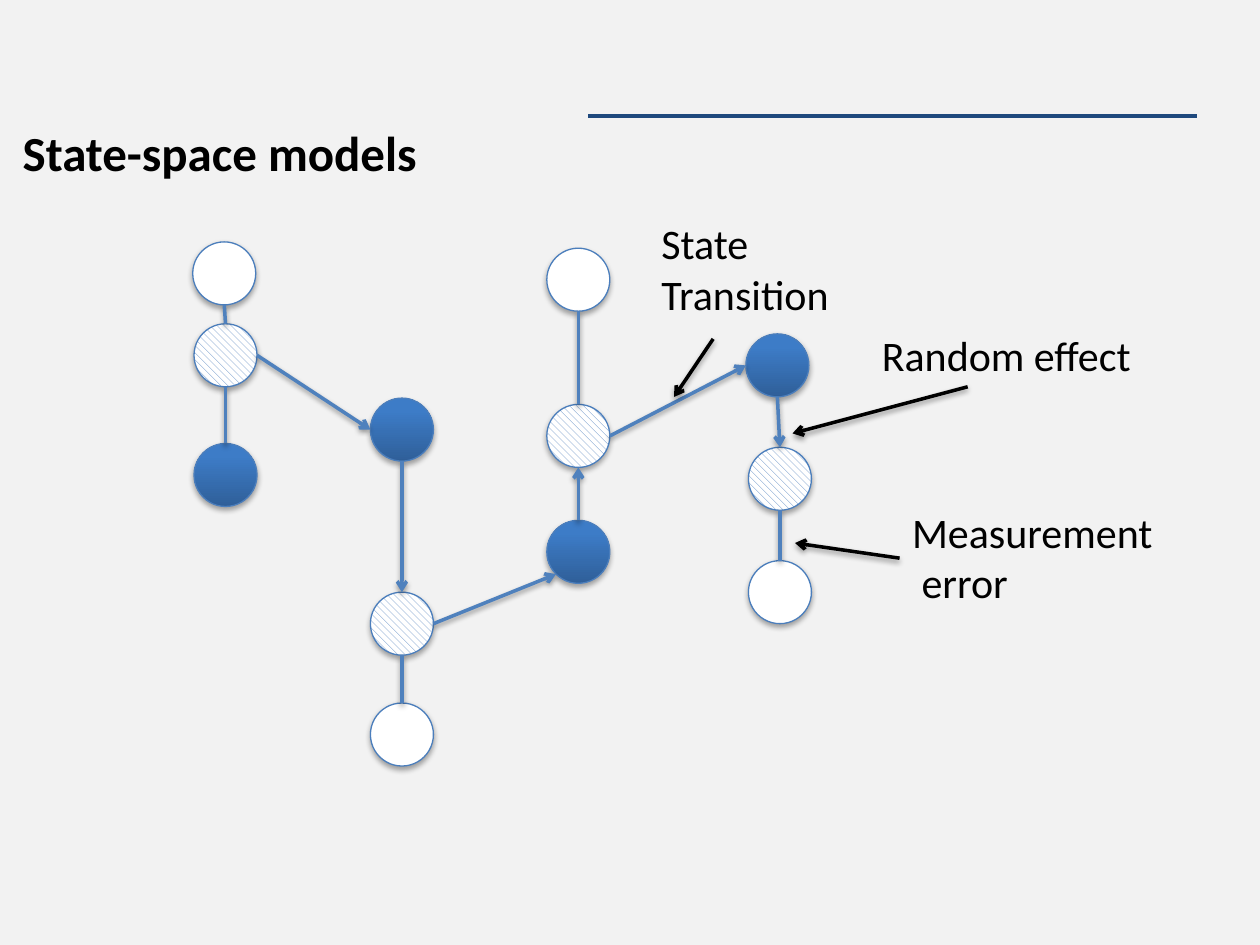
from dataclasses import dataclass
from math import cos, radians, sin
from typing import NamedTuple

from lxml.etree import SubElement
from pptx import Presentation
from pptx.dml.color import RGBColor
from pptx.enum.dml import MSO_PATTERN
from pptx.enum.shapes import MSO_CONNECTOR, MSO_SHAPE
from pptx.enum.text import MSO_ANCHOR, MSO_AUTO_SIZE, PP_ALIGN
from pptx.oxml.ns import qn
from pptx.util import Inches, Pt


@dataclass(frozen=True)
class Theme:
    font: str = "Calibri"
    title_size: int = 28
    label_size: int = 24
    background: str = "F2F2F2"
    ink: str = "000000"
    rule: str = "1F497D"
    link: str = "4F81BD"
    outline: str = "4B7EBC"
    white: str = "FFFFFF"
    dark_blue: str = "2F5F99"
    light_blue: str = "3D7CC7"
    line_width: float = 2
    outline_width: float = 0.75


class Point(NamedTuple):
    x: float
    y: float


class Step(NamedTuple):
    """Node centres of one time step; entry is the angle where a transition arrives."""
    predicted: Point
    state: Point
    observed: Point
    entry: float = 180


class Label(NamedTuple):
    text: str
    left: float
    top: float
    width: float
    height: float
    arrow_start: Point
    arrow_end: Point


THEME = Theme()
RADIUS = 0.25
RIGHT, UP, DOWN = 0, 90, 270

STEPS = [
    Step(Point(1.79, 3.77), Point(1.79, 2.82), Point(1.78, 2.17)),
    Step(Point(3.19, 3.41), Point(3.19, 4.95), Point(3.19, 5.83)),
    Step(Point(4.59, 4.38), Point(4.59, 3.46), Point(4.59, 2.22), entry=225),
    Step(Point(6.17, 2.90), Point(6.19, 3.80), Point(6.19, 4.70)),
]

LABELS = [
    Label("State\nTransition", 5.15, 1.68, 1.57, 0.91, Point(5.66, 2.69), Point(5.35, 3.15)),
    Label("Random effect", 6.9, 2.57, 2.39, 0.5, Point(7.68, 3.07), Point(6.29, 3.44)),
    Label("Measurement\n error", 7.14, 3.97, 2.26, 0.91, Point(7.14, 4.43), Point(6.31, 4.31)),
]


def rgb(value: str) -> RGBColor:
    return RGBColor.from_string(value)


def add_shadow(shape, distance: int, opacity: int) -> None:
    """Add a soft downward shadow; call it after fill and line are set."""
    effects = SubElement(shape._element.spPr, qn("a:effectLst"))
    shadow = SubElement(effects, qn("a:outerShdw"), blurRad="40000", dist=str(distance),
                        dir="5400000", rotWithShape="0")
    color = SubElement(shadow, qn("a:srgbClr"), val=THEME.ink)
    SubElement(color, qn("a:alpha"), val=str(opacity * 1000))


def add_line(slide, start: Point, end: Point, color: str,
             arrow: bool = False, shadow: bool = True) -> None:
    connector = slide.shapes.add_connector(
        MSO_CONNECTOR.STRAIGHT, *(Inches(value) for value in (*start, *end)))
    connector.line.color.rgb = rgb(color)
    connector.line.width = Pt(THEME.line_width)
    if arrow:
        SubElement(connector.line._get_or_add_ln(), qn("a:tailEnd"), type="arrow")
    if shadow:
        add_shadow(connector, 20000, 38)
    else:
        SubElement(connector._element.spPr, qn("a:effectLst"))


def add_node(slide, center: Point):
    node = slide.shapes.add_shape(
        MSO_SHAPE.OVAL, Inches(center.x - RADIUS), Inches(center.y - RADIUS),
        Inches(2 * RADIUS), Inches(2 * RADIUS))
    node.line.color.rgb = rgb(THEME.outline)
    node.line.width = Pt(THEME.outline_width)
    return node


def fill_predicted(node) -> None:
    node.fill.gradient()
    node.fill.gradient_angle = 90
    bottom, top = node.fill.gradient_stops
    bottom.position, top.position = 0, 0.8
    bottom.color.rgb = rgb(THEME.dark_blue)
    top.color.rgb = rgb(THEME.light_blue)


def fill_state(node) -> None:
    node.fill.patterned()
    node.fill.pattern = MSO_PATTERN.WIDE_DOWNWARD_DIAGONAL
    node.fill.fore_color.rgb = rgb(THEME.link)
    node.fill.back_color.rgb = rgb(THEME.white)


def fill_observed(node) -> None:
    node.fill.solid()
    node.fill.fore_color.rgb = rgb(THEME.white)


def rim(center: Point, angle: float) -> Point:
    """Return the point on a node's edge, with the angle counted anticlockwise from the right."""
    return Point(center.x + RADIUS * cos(radians(angle)),
                 center.y - RADIUS * sin(radians(angle)))


def add_vertical_link(slide, start: Point, end: Point, arrow: bool = False) -> None:
    leave, arrive = (DOWN, UP) if end.y > start.y else (UP, DOWN)
    add_line(slide, rim(start, leave), rim(end, arrive), THEME.link, arrow)


def add_step(slide, step: Step, is_first: bool) -> None:
    fills = (fill_predicted, fill_state, fill_observed)
    for center, fill in zip((step.predicted, step.state, step.observed), fills):
        node = add_node(slide, center)
        fill(node)
        add_shadow(node, 23000, 35)
    add_vertical_link(slide, step.predicted, step.state, arrow=not is_first)
    add_vertical_link(slide, step.state, step.observed)


def format_text(frame, size: int, bold: bool = False) -> None:
    for paragraph in frame.paragraphs:
        paragraph.alignment = PP_ALIGN.LEFT
        for run in paragraph.runs:
            run.font.name = THEME.font
            run.font.size = Pt(size)
            run.font.bold = bold
            run.font.color.rgb = rgb(THEME.ink)


def add_label(slide, label: Label) -> None:
    box = slide.shapes.add_textbox(Inches(label.left), Inches(label.top),
                                   Inches(label.width), Inches(label.height))
    box.text_frame.word_wrap = False
    box.text_frame.auto_size = MSO_AUTO_SIZE.SHAPE_TO_FIT_TEXT
    box.text_frame.text = label.text
    format_text(box.text_frame, THEME.label_size)
    add_line(slide, label.arrow_start, label.arrow_end, THEME.ink, arrow=True)


def set_title(slide, text: str) -> None:
    title = slide.shapes.title
    title.left, title.top = Inches(0.08), Inches(0.92)
    title.width, title.height = Inches(9.83), Inches(6.5)
    frame = title.text_frame
    frame.text = text
    frame.vertical_anchor = MSO_ANCHOR.TOP
    frame.paragraphs[0].space_before = frame.paragraphs[0].space_after = Pt(6)
    format_text(frame, THEME.title_size, bold=True)


def main() -> None:
    presentation = Presentation()
    presentation.slide_width, presentation.slide_height = Inches(10), Inches(7.5)
    slide = presentation.slides.add_slide(presentation.slide_layouts.get_by_name("Title Only"))
    slide.background.fill.solid()
    slide.background.fill.fore_color.rgb = rgb(THEME.background)

    set_title(slide, "State-space models")
    add_line(slide, Point(4.67, 0.92), Point(9.5, 0.92), THEME.rule, shadow=False)
    for index, step in enumerate(STEPS):
        add_step(slide, step, is_first=index == 0)
    for current, following in zip(STEPS, STEPS[1:]):
        add_line(slide, rim(current.state, RIGHT), rim(following.predicted, following.entry),
                 THEME.link, arrow=True)
    for label in LABELS:
        add_label(slide, label)
    presentation.save("out.pptx")


if __name__ == "__main__":
    main()
